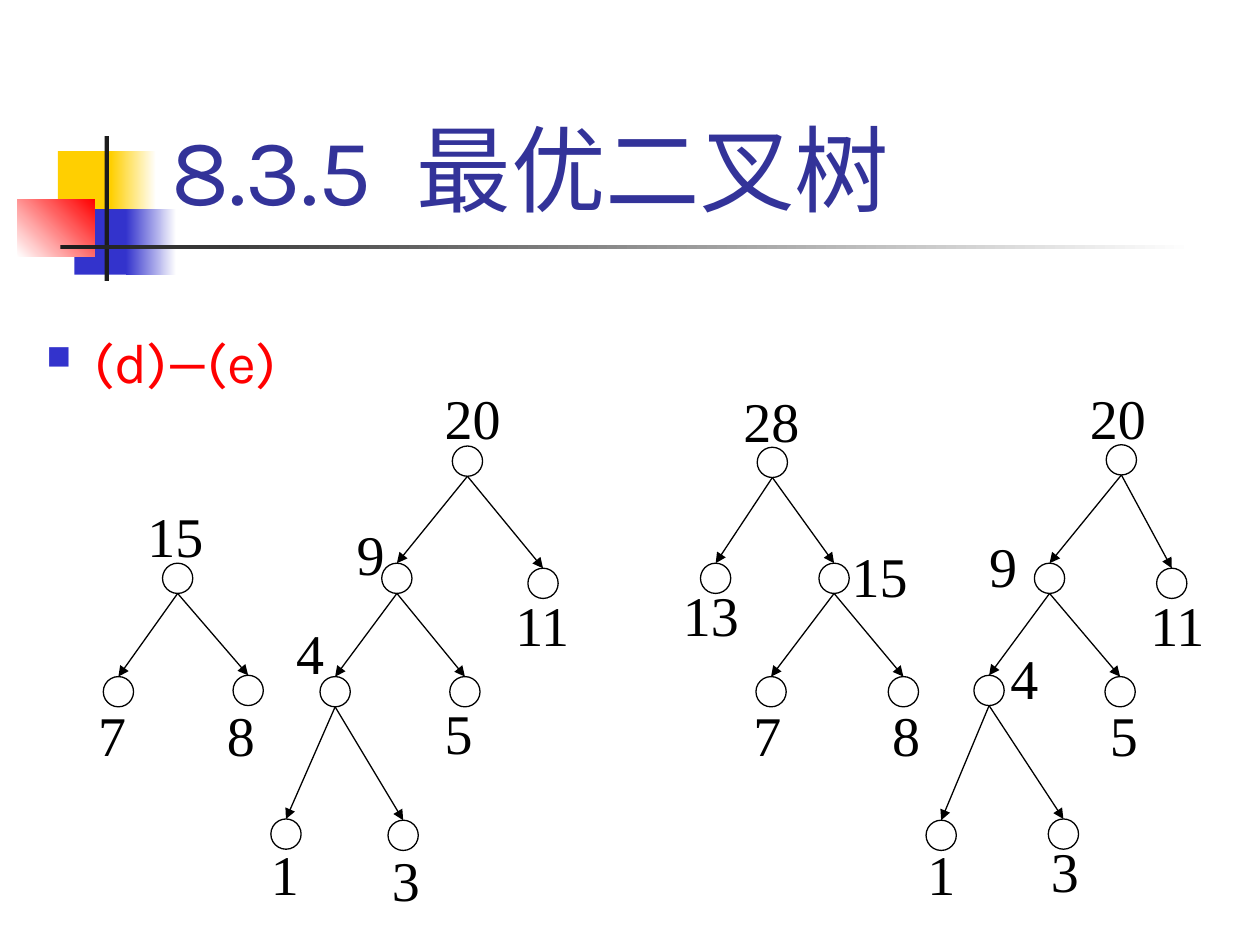
"""Build the slide on merging optimal binary trees, steps (d) to (e)."""
import lxml.etree
import pptx
import pptx.dml.color
import pptx.enum.shapes
import pptx.enum.text
import pptx.util

deck = pptx.Presentation()
deck.slide_width = pptx.util.Inches(10)
deck.slide_height = pptx.util.Inches(7.5)
col, row = deck.slide_width / 100, deck.slide_height / 75
slide = deck.slides.add_slide(deck.slide_layouts[6])
kinds = pptx.enum.shapes.MSO_SHAPE
space = "http://schemas.openxmlformats.org/drawingml/2006/main"


def tint(code):
    return pptx.dml.color.RGBColor.from_string(code)


def place(kind, x, y, wide, high, edge=None):
    shape = slide.shapes.add_shape(
        kind, round(x * col), round(y * row), round(wide * col), round(high * row))
    shape.shadow.inherit = False
    shape.fill.solid()
    shape.fill.fore_color.rgb = tint("FFFFFF")
    if edge:
        shape.line.color.rgb = tint(edge)
        shape.line.width = pptx.util.Pt(0.75)
    else:
        shape.line.fill.background()
    return shape


blocks = [
    (4.6, 12, 4.8, 5.2, ["FFCF01"], 0),
    (8.8, 12, 3.6, 5.2, ["FFCF01", "FFFFFF"], 0),
    (5.9, 16.6, 4.6, 5.2, ["3333CC"], 0),
    (10, 16.6, 4, 5.2, ["3333CC", "FFFFFF"], 0),
    (1.4, 15.8, 6.1, 4.6, ["FFFFFF", "FF0000"], 45),
    (8.3, 10.8, 0.35, 11.5, ["1C1C1C"], 0),
    (4.8, 19.45, 90, 0.35, ["1C1C1C", "FFFFFF"], 0),
]
for x, y, wide, high, tones, turn in blocks:
    block = place(kinds.RECTANGLE, x, y, wide, high)
    if len(tones) == 1:
        block.fill.fore_color.rgb = tint(tones[0])
        continue
    block.fill.gradient()
    block.fill.gradient_angle = turn
    for stop, tone in zip(block.fill.gradient_stops, tones):
        stop.color.rgb = tint(tone)

texts = [
    ("8.3.5  最优二叉树", 12.6, 2.3, 85.2, 16, 54, "333399", "BOTTOM"),
    ("(d)—(e)", 2.7, 20.2, 97.3, 54.8, 32, "FF0000", "TOP"),
]
for words, x, y, wide, high, size, tone, side in texts:
    box = slide.shapes.add_textbox(
        round(x * col), round(y * row), round(wide * col), round(high * row))
    frame = box.text_frame
    frame.word_wrap = True
    frame.vertical_anchor = pptx.enum.text.MSO_ANCHOR[side]
    frame.text = words
    para = frame.paragraphs[0]
    if side == "TOP":
        para.line_spacing = 2.0
        props = para._p.get_or_add_pPr()
        props.set("marL", str(round(3.8 * col)))
        props.set("indent", str(round(-3.8 * col)))
        paint = lxml.etree.SubElement(props, f"{{{space}}}buClr")
        lxml.etree.SubElement(paint, f"{{{space}}}srgbClr", val="3333CC")
        lxml.etree.SubElement(props, f"{{{space}}}buSzPct", val="60000")
        lxml.etree.SubElement(props, f"{{{space}}}buChar", char="■")
    para.font.name = "Karla"
    para.font.size = pptx.util.Pt(size)
    para.font.color.rgb = tint(tone)

# Each node: circle left and top, label left and top, parent.
trees = [
    {"8": (18.5, 53.6, 16.9, 55, "15"),
     "7": (8.2, 53.7, 6.7, 55, "15"),
     "15": (12.9, 44.7, 10.6, 39.2, None)},
    {"1": (21.5, 65, 20.4, 66, "4"),
     "3": (30.8, 65.1, 30, 66.5, "4"),
     "11": (41.9, 45.1, 39.8, 46.3, "20"),
     "9": (30.3, 44.7, 27.2, 40.6, "20"),
     "5": (35.7, 53.7, 34.2, 54.8, "9"),
     "4": (25.4, 53.7, 22.4, 48.5, "9"),
     "20": (35.9, 35.4, 34.2, 29.8, None)},
    {"8": (70.5, 53.7, 69.7, 55, "15"),
     "7": (60, 53.7, 58.7, 55, "15"),
     "15": (65, 44.7, 66.5, 42.4, "28"),
     "13": (55.6, 44.7, 53.1, 45.5, "28"),
     "28": (60.1, 35.5, 57.9, 30.1, None)},
    {"1": (73.5, 65.1, 72.5, 66, "4"),
     "3": (83.2, 65, 82.3, 65.8, "4"),
     "4": (77.3, 53.6, 79.1, 50.5, "9"),
     "5": (87.7, 53.7, 87, 55, "9"),
     "9": (82.1, 44.7, 77.4, 41.6, "20"),
     "11": (91.8, 45.1, 90.2, 46.3, "20"),
     "20": (87.8, 35.3, 85.4, 29.8, None)},
]
disc = 2.4

for tree in trees:
    for name, (x, y, left, top, root) in tree.items():
        label = place(kinds.RECTANGLE, left, top, 8.7, 8.5, "FFFFFF")
        frame = label.text_frame
        frame.word_wrap = True
        frame.vertical_anchor = pptx.enum.text.MSO_ANCHOR.TOP
        frame.margin_left = frame.margin_right = round(1.1 * col)
        frame.margin_top = frame.margin_bottom = round(0.6 * row)
        frame.text = name
        para = frame.paragraphs[0]
        para.alignment = pptx.enum.text.PP_ALIGN.LEFT
        para.font.name = "Times New Roman"
        para.font.size = pptx.util.Pt(32)
        para.font.color.rgb = tint("000000")

for tree in trees:
    for x, y, left, top, root in tree.values():
        place(kinds.OVAL, x, y, disc, disc, "000000")

for tree in trees:
    for x, y, left, top, root in tree.values():
        if root is None:
            continue
        start, base = tree[root][:2]
        link = slide.shapes.add_connector(
            pptx.enum.shapes.MSO_CONNECTOR.STRAIGHT,
            round((start + disc / 2) * col), round((base + disc) * row),
            round((x + disc / 2) * col), round(y * row))
        link.line.color.rgb = tint("000000")
        link.line.width = pptx.util.Pt(0.75)
        lxml.etree.SubElement(
            link.line._get_or_add_ln(), f"{{{space}}}tailEnd", type="triangle")
        lxml.etree.SubElement(link._element.spPr, f"{{{space}}}effectLst")

deck.save("out.pptx")
